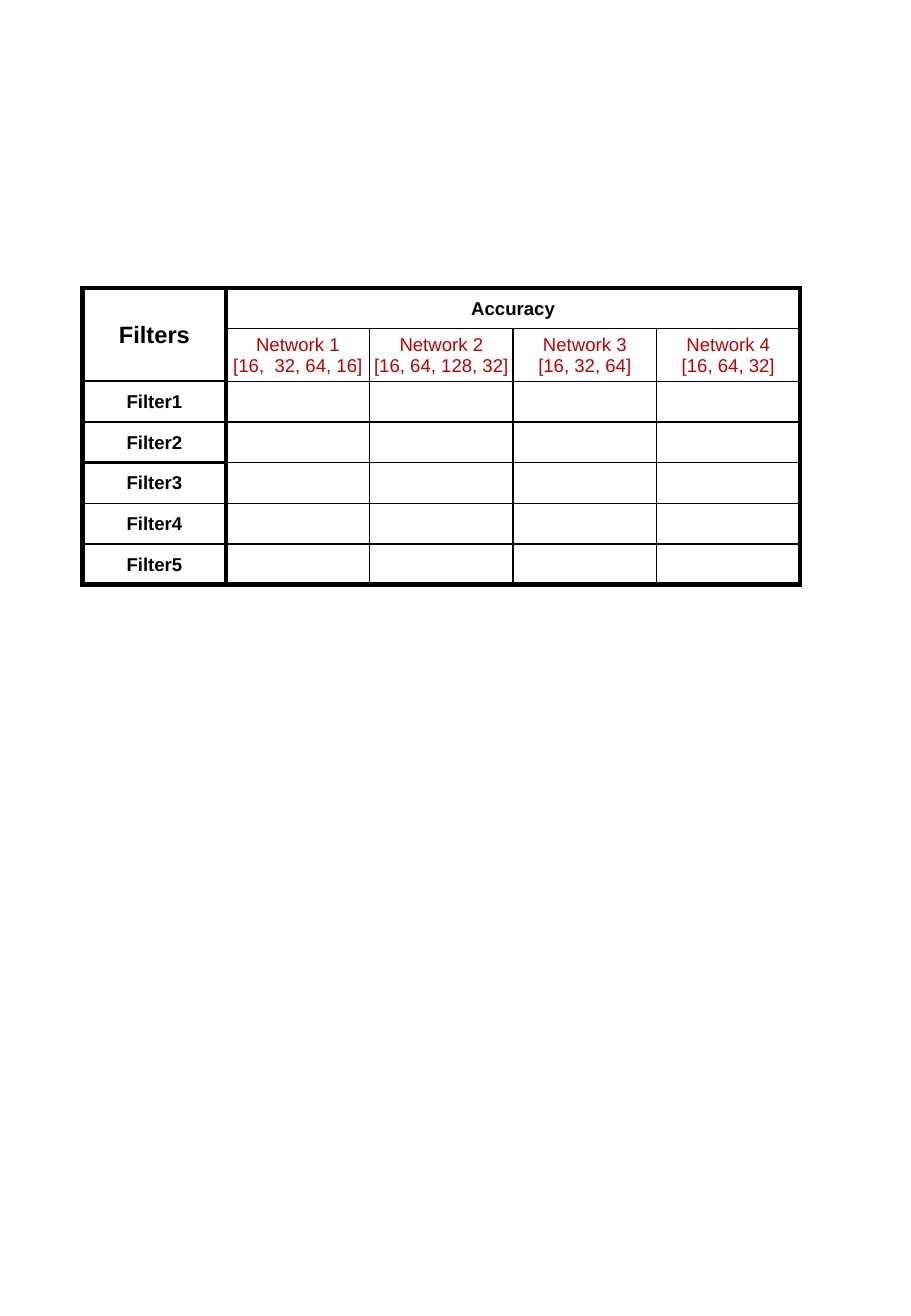
from lxml.etree import SubElement
from pptx import Presentation
from pptx.dml.color import RGBColor
from pptx.enum.text import MSO_ANCHOR, PP_ALIGN
from pptx.oxml.ns import qn
from pptx.util import Cm, Pt

COLORS = {"ink": "000000", "network": "C00000", "paper": "FFFFFF"}
THICK, MEDIUM, THIN = 3, 1.5, 1
NETWORKS = [
    ("Network 1", "[16,  32, 64, 16]"),
    ("Network 2", "[16, 64, 128, 32]"),
    ("Network 3", "[16, 32, 64]"),
    ("Network 4", "[16, 64, 32]"),
]
FILTERS = [f"Filter{n}" for n in range(1, 6)]
ROW_HEIGHTS = [0.85, 1.1] + [0.85] * len(FILTERS)
N_ROWS, N_COLS = len(ROW_HEIGHTS), 1 + len(NETWORKS)


def row_line(edge, col):
    """Width of the horizontal rule at a row edge, in points."""
    if edge in (0, N_ROWS):
        return THICK
    return MEDIUM if col == 0 and edge in (2, 3, 4) else THIN


def column_line(edge):
    return THICK if edge in (0, 1, N_COLS) else THIN


def set_borders(cell, row, col):
    bottom, right = row + cell.span_height, col + cell.span_width
    widths = {
        "a:lnL": column_line(col),
        "a:lnR": column_line(right),
        "a:lnT": row_line(row, col),
        "a:lnB": row_line(bottom, col),
    }
    tcPr = cell._tc.get_or_add_tcPr()
    for tag, width in widths.items():
        ln = SubElement(tcPr, qn(tag), w=str(Pt(width)))
        fill = SubElement(ln, qn("a:solidFill"))
        SubElement(fill, qn("a:srgbClr"), val=COLORS["ink"])


def format_cell(cell, row, col):
    set_borders(cell, row, col)
    cell.fill.solid()
    cell.fill.fore_color.rgb = RGBColor.from_string(COLORS["paper"])
    cell.vertical_anchor = MSO_ANCHOR.MIDDLE
    cell.margin_left = cell.margin_right = cell.margin_top = Cm(0.02)
    cell.margin_bottom = 0


def write(cell, lines, size=11, bold=True, color="ink"):
    tf = cell.text_frame
    for i, line in enumerate(lines):
        p = tf.add_paragraph() if i else tf.paragraphs[0]
        p.alignment = PP_ALIGN.CENTER
        r = p.add_run()
        r.text = line
        r.font.name = "Arial"
        r.font.size = Pt(size)
        r.font.bold = bold
        r.font.color.rgb = RGBColor.from_string(COLORS[color])


def add_accuracy_table(s, left, top, width):
    frame = s.shapes.add_table(N_ROWS, N_COLS, left, top, width, Cm(sum(ROW_HEIGHTS)))
    table = frame.table
    table.first_row = table.horz_banding = False
    for column in table.columns:
        column.width = width // N_COLS
    for row, height in zip(table.rows, ROW_HEIGHTS):
        row.height = Cm(height)

    table.cell(0, 0).merge(table.cell(1, 0))
    table.cell(0, 1).merge(table.cell(0, N_COLS - 1))
    for row in range(N_ROWS):
        for col in range(N_COLS):
            format_cell(table.cell(row, col), row, col)

    write(table.cell(0, 0), ["Filters"], size=14)
    write(table.cell(0, 1), ["Accuracy"])
    for col, network in enumerate(NETWORKS, start=1):
        write(table.cell(1, col), network, bold=False, color="network")
    for row, name in enumerate(FILTERS, start=2):
        write(table.cell(row, 0), [name])


def main():
    prs = Presentation()
    prs.slide_width, prs.slide_height = Cm(19.05), Cm(27.51)
    s = prs.slides.add_slide(prs.slide_layouts[6])
    add_accuracy_table(s, Cm(1.73), Cm(6.02), Cm(15))
    prs.save("out.pptx")


if __name__ == "__main__":
    main()
